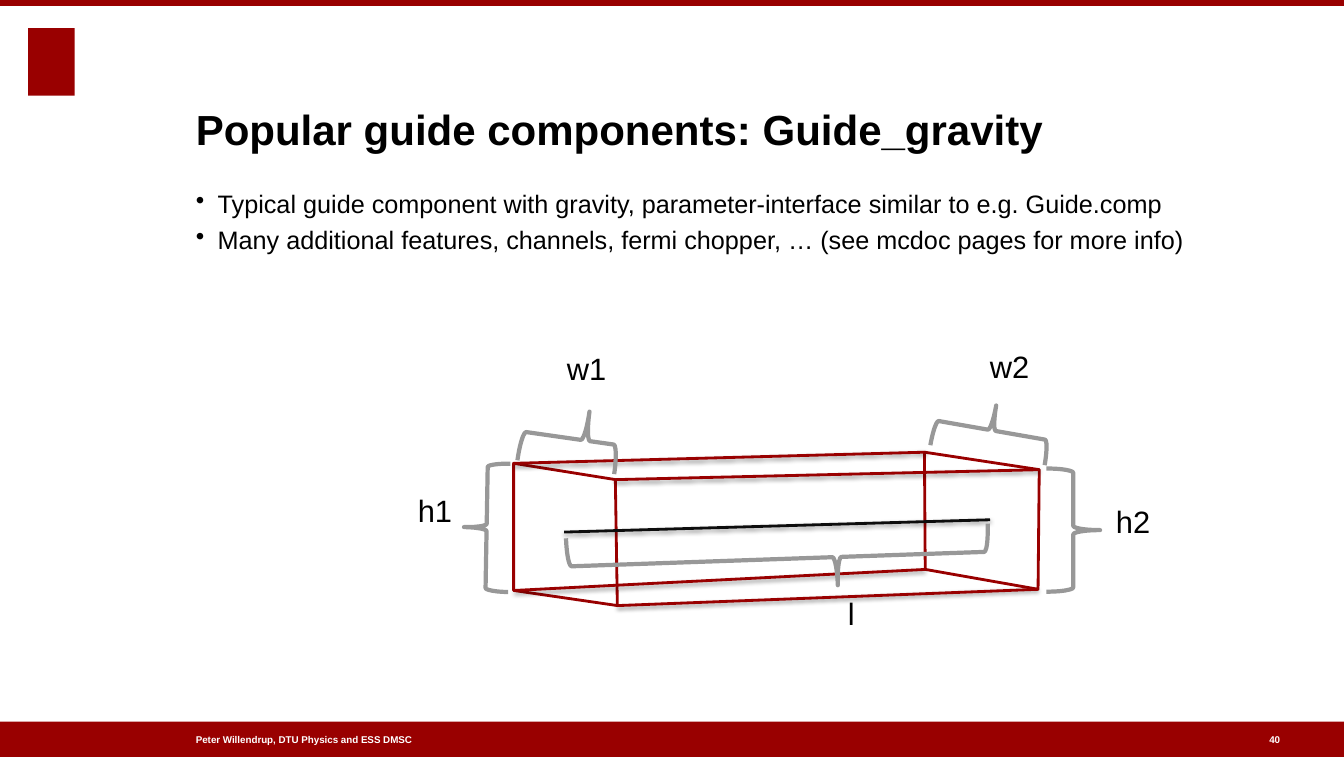
from typing import NamedTuple

from lxml import etree
from pptx import Presentation
from pptx import util as u
from pptx.dml.color import RGBColor
from pptx.enum import shapes, text
from pptx.oxml import ns

RED = RGBColor(0x99, 0x00, 0x00)
WHITE = RGBColor(0xFF, 0xFF, 0xFF)
BLACK = RGBColor(0x00, 0x00, 0x00)
INK = RGBColor(0x0D, 0x0D, 0x0D)
GREY = RGBColor(0x98, 0x98, 0x98)
WIDE, HIGH = 33.83, 19.05
LEFT, SPAN = 4.93, 25.86

Point = tuple[float, float]


class Box(NamedTuple):
    x: float
    y: float
    w: float
    h: float

    def cm(self) -> list[u.Length]:
        return [u.Cm(n) for n in self]


class Style(NamedTuple):
    size: int
    color: RGBColor = BLACK
    bold: bool = False
    before: int = 0
    bullet: bool = False
    anchor: text.MSO_ANCHOR = text.MSO_ANCHOR.TOP
    wrap: bool = True


class Brace(NamedTuple):
    box: Box
    turn: float
    tip: float


class Label(NamedTuple):
    text: str
    x: float
    y: float


BARS = [
    Box(0, 18.16, WIDE, 0.89),
    Box(0, 0, WIDE, 0.15),
    Box(0.71, 0.71, 1.17, 1.7),  # plain emblem
]
FOOT = Style(7, WHITE, bold=True, anchor=text.MSO_ANCHOR.MIDDLE)
TITLE = Style(30, bold=True, anchor=text.MSO_ANCHOR.BOTTOM)
BODY = Style(18, before=4, bullet=True)
TAG = Style(22, before=9)
POINTS = [
    "Typical guide component with gravity, parameter-interface similar to e.g. Guide.comp",
    "Many additional features, channels, fermi chopper, … (see mcdoc pages for more info)",
]

# Guide openings, corners in matching order
ENTRY = [(12.93, 11.66), (15.49, 12.07), (15.54, 15.24), (12.93, 14.86)]
EXIT = [(23.27, 11.38), (26.16, 11.82), (26.13, 14.83), (23.29, 14.33)]
AXIS = ((14.2, 13.39), (24.92, 13.08))

BRACES = [
    Brace(Box(26.34, 11.79, 1.35, 3.1), 180, 0.5),
    Brace(Box(13.61, 9.8, 1.47, 2.46), 98.1, 0.34),
    Brace(Box(24.33, 9.37, 1.27, 2.92), 99.9, 0.5),
    Brace(Box(11.68, 11.66, 1.14, 3.23), 1, 0.5),
    Brace(Box(18.87, 8.76, 1.42, 10.62), 268, 0.64),
]
LABELS = [
    Label("h1", 10.52, 12.37),
    Label("h2", 28.09, 12.65),
    Label("w1", 14.27, 8.79),
    Label("w2", 24.92, 8.76),
    Label("l", 21.34, 14.96),
]


def add_bar(slide, box: Box) -> None:
    bar = slide.shapes.add_shape(shapes.MSO_SHAPE.RECTANGLE, *box.cm())
    bar.shadow.inherit = False
    bar.fill.solid()
    bar.fill.fore_color.rgb = RED
    bar.line.fill.background()


def add_text(slide, box: Box, lines: list[str], style: Style) -> None:
    frame = slide.shapes.add_textbox(*box.cm()).text_frame
    frame.word_wrap = style.wrap
    frame.vertical_anchor = style.anchor
    frame.margin_left = frame.margin_right = 0
    frame.margin_top = frame.margin_bottom = 0
    frame.text = "\n".join(lines)
    for para in frame.paragraphs:
        para.space_before = u.Pt(style.before)
        if style.bullet:
            props = para._p.get_or_add_pPr()
            props.set("marL", str(u.Cm(0.55)))
            props.set("indent", str(-u.Cm(0.55)))
            etree.SubElement(props, ns.qn("a:buChar"), char="•")
        para.font.name = "Arial"
        para.font.size = u.Pt(style.size)
        para.font.bold = style.bold
        para.font.color.rgb = style.color


def add_face(slide, corners: list[Point]) -> None:
    spots = [(u.Cm(x), u.Cm(y)) for x, y in corners]
    maker = slide.shapes.build_freeform(*spots[0])
    maker.add_line_segments(spots[1:], close=True)
    face = maker.convert_to_shape()
    face.shadow.inherit = False
    face.fill.solid()
    face.fill.fore_color.rgb = WHITE
    face.line.color.rgb = RED
    face.line.width = u.Pt(2)


def add_edge(slide, start: Point, end: Point, color: RGBColor) -> None:
    ends = [u.Cm(n) for n in (*start, *end)]
    edge = slide.shapes.add_connector(shapes.MSO_CONNECTOR.STRAIGHT, *ends)
    edge.line.color.rgb = color
    edge.line.width = u.Pt(2)
    # Soft shadow straight below the line
    effects = etree.SubElement(edge._element.spPr, ns.qn("a:effectLst"))
    shade = etree.SubElement(
        effects, ns.qn("a:outerShdw"), blurRad=str(u.Pt(3)),
        dist=str(u.Pt(1.6)), dir="5400000", rotWithShape="0")
    tint = etree.SubElement(shade, ns.qn("a:srgbClr"), val=str(BLACK))
    etree.SubElement(tint, ns.qn("a:alpha"), val="38000")


def add_brace(slide, brace: Brace) -> None:
    mark = slide.shapes.add_shape(shapes.MSO_SHAPE.LEFT_BRACE, *brace.box.cm())
    mark.adjustments[0] = 0.08
    mark.adjustments[1] = brace.tip
    mark.rotation = brace.turn
    mark.shadow.inherit = False
    mark.fill.background()
    mark.line.color.rgb = GREY
    mark.line.width = u.Pt(3)


def main() -> None:
    deck = Presentation()
    deck.slide_width, deck.slide_height = u.Cm(WIDE), u.Cm(HIGH)
    slide = deck.slides.add_slide(deck.slide_layouts[6])

    # Frame and footer
    for bar in BARS:
        add_bar(slide, bar)
    add_text(slide, Box(LEFT, 18.44, 9.45, 0.36),
             ["Peter Willendrup, DTU Physics and ESS DMSC"], FOOT)
    add_text(slide, Box(31.95, 18.44, 0.36, 0.36), ["40"],
             FOOT._replace(wrap=False))

    # Title and bullets
    add_text(slide, Box(LEFT, 1.19, SPAN, 2.69),
             ["Popular guide components: Guide_gravity"], TITLE)
    add_text(slide, Box(LEFT, 4.75, SPAN, 2.5), POINTS, BODY)

    # Guide body with its axis
    for face in (ENTRY, EXIT):
        add_face(slide, face)
    for start, end in zip(ENTRY, EXIT):
        add_edge(slide, start, end, RED)
    add_edge(slide, *AXIS, INK)

    # Dimensions
    for brace in BRACES:
        add_brace(slide, brace)
    for label in LABELS:
        add_text(slide, Box(label.x, label.y, 3.38, 0.89), [label.text], TAG)

    deck.save("out.pptx")


if __name__ == "__main__":
    main()
